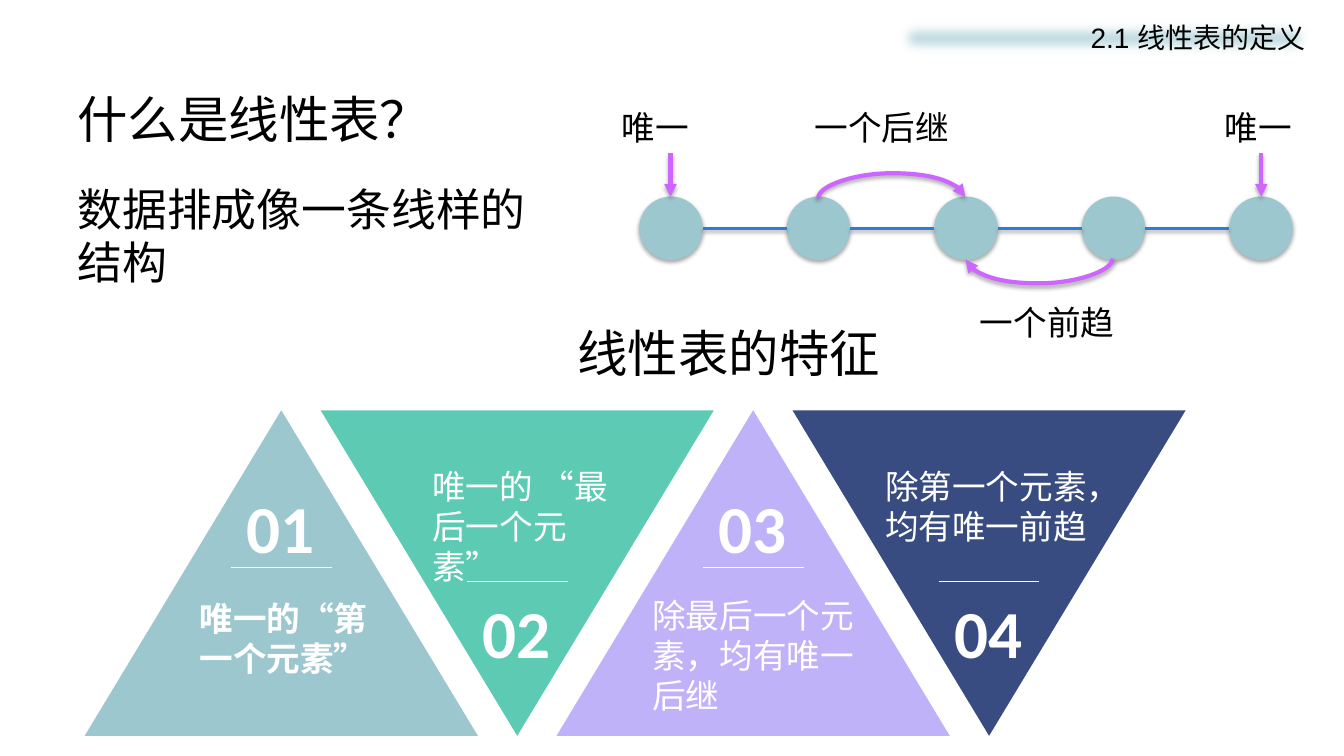
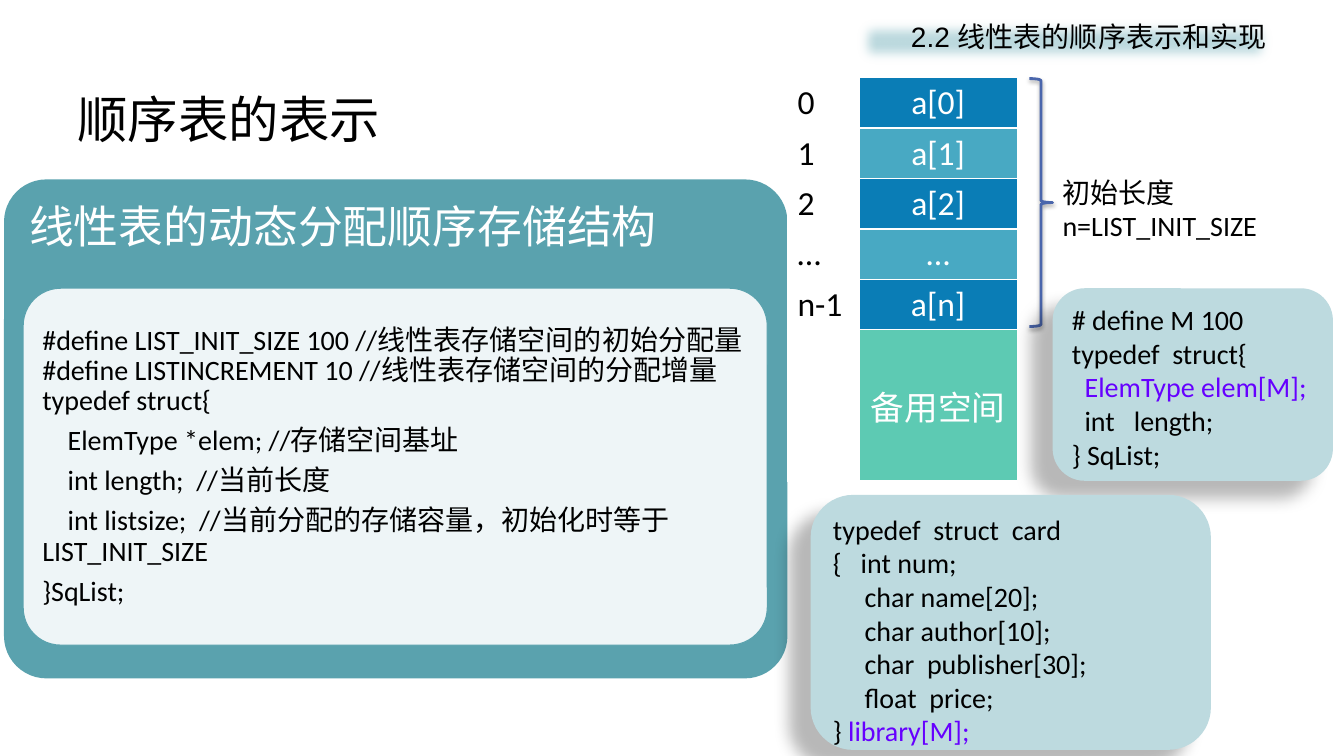
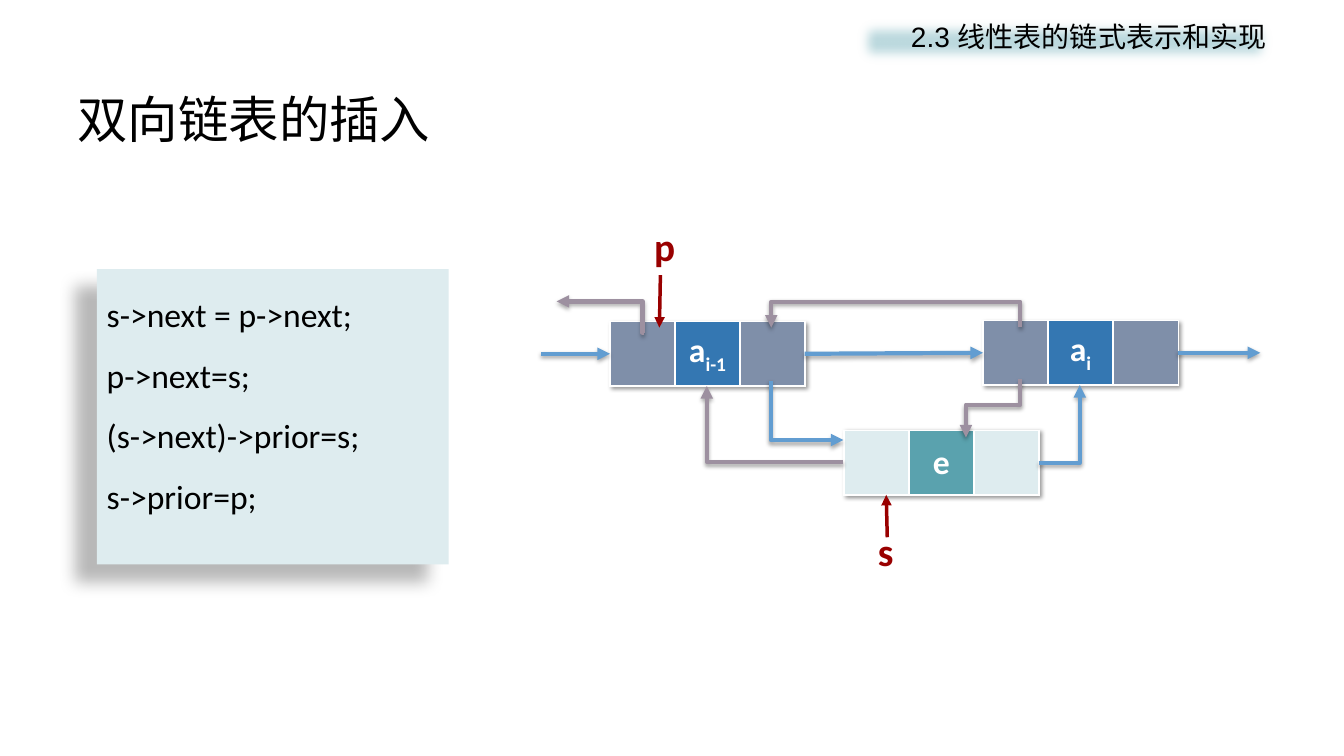
from lxml.etree import SubElement
from pptx import Presentation
from pptx.dml.color import RGBColor
from pptx.enum.shapes import MSO_CONNECTOR, MSO_SHAPE
from pptx.enum.text import MSO_ANCHOR, PP_ALIGN
from pptx.oxml.ns import qn
from pptx.util import Inches, Pt

BLACK = RGBColor(0x00, 0x00, 0x00)
WHITE = RGBColor(0xFF, 0xFF, 0xFF)
PALE_TEAL = RGBColor(0xBD, 0xDA, 0xDF)
MIST = RGBColor(0xDE, 0xEC, 0xEF)
LIGHT_TEAL = RGBColor(0x9C, 0xC7, 0xCE)
TEAL = RGBColor(0x5A, 0xA2, 0xAE)
GREEN = RGBColor(0x5D, 0xCA, 0xB3)
LILAC = RGBColor(0xBF, 0xB2, 0xF8)
NAVY = RGBColor(0x38, 0x4C, 0x81)
INDIGO = RGBColor(0x4A, 0x66, 0xAC)
LINK_BLUE = RGBColor(0x29, 0x7F, 0xD5)
PURPLE = RGBColor(0xCC, 0x66, 0xFF)
VIOLET = RGBColor(0x66, 0x00, 0xFF)
DEEP_BLUE = RGBColor(0x0A, 0x7D, 0xB6)
SKY_BLUE = RGBColor(0x48, 0xA9, 0xC3)
SLATE = RGBColor(0x7F, 0x8F, 0xA9)
DATA_BLUE = RGBColor(0x34, 0x77, 0xB2)
NEXT_BLUE = RGBColor(0x62, 0x9D, 0xD1)
PRIOR_GREY = RGBColor(0x9D, 0x90, 0xA0)
DARK_RED = RGBColor(0x99, 0x00, 0x00)

CJK = "Noto Sans CJK SC"
LATIN = "Calibri"

# Shadows: opacity %, blur pt, distance pt, direction in degrees
SOFT_SHADOW = (35, 3.1, 1.8, 90)
CARD_SHADOW = (28, 11.8, 19.7, 141)
TABLE_SHADOW = (40, 3, 2, 45)


def add_outer_shadow(effects, shadow):
    opacity, blur, distance, direction = shadow
    outer = SubElement(effects, qn("a:outerShdw"), blurRad=str(Pt(blur)),
                       dist=str(Pt(distance)), dir=str(direction * 60000))
    color = SubElement(outer, qn("a:srgbClr"), val="000000")
    SubElement(color, qn("a:alpha"), val=str(opacity * 1000))


def style_run(run, size, color, font=LATIN, bold=False):
    run.font.size = Pt(size)
    run.font.bold = bold
    run.font.color.rgb = color
    run.font.name = font
    SubElement(run.font._element, qn("a:ea"), typeface=CJK)


def write(frame, lines, size, color=BLACK, font=LATIN, bold=False,
          align=PP_ALIGN.LEFT, spacing=None, after=None):
    frame.text = "\n".join(lines)
    for paragraph, line in zip(frame.paragraphs, lines):
        paragraph.text = line
        paragraph.alignment = align
        paragraph.line_spacing = spacing
        paragraph.space_after = after
        for run in paragraph.runs:
            style_run(run, size, color, font, bold)


def highlight_ending(shape, row, ending):
    paragraph = shape.text_frame.paragraphs[row]
    start = paragraph.runs[0]
    start.text = start.text.removesuffix(ending)
    run = paragraph.add_run()
    run.text = ending
    style_run(run, 20, VIOLET)


def add_bullet(paragraph, character):
    properties = paragraph._p.get_or_add_pPr()
    properties.set("marL", str(Inches(0.28)))
    properties.set("indent", str(Inches(-0.28)))
    color = SubElement(properties, qn("a:buClr"))
    SubElement(color, qn("a:srgbClr"), val=str(INDIGO))
    SubElement(properties, qn("a:buSzPct"), val="70000")
    SubElement(properties, qn("a:buFont"), typeface="Arial")
    SubElement(properties, qn("a:buChar"), char=character)


class Deck:
    def __init__(self):
        self.presentation = Presentation()
        self.presentation.slide_width = Inches(13.33)
        self.presentation.slide_height = Inches(7.5)
        self.slide = None

    def start(self, title, section, band):
        """Add a slide with its title and the soft section band."""
        layout = self.presentation.slide_layouts[6]
        self.slide = self.presentation.slides.add_slide(layout)
        self.text((0.67, 0.8, 12, 0.75), [title], 36, font=CJK,
                  anchor=MSO_ANCHOR.MIDDLE)
        shape = self.shape(MSO_SHAPE.RECTANGLE, band, PALE_TEAL)
        effects = shape._element.spPr.find(qn("a:effectLst"))
        SubElement(effects, qn("a:softEdge"), rad=str(Inches(0.13)))
        shape.text_frame.vertical_anchor = MSO_ANCHOR.TOP
        write(shape.text_frame, [section], 20, font="Arial", align=PP_ALIGN.RIGHT)

    def text(self, box, lines, size, color=BLACK, anchor=MSO_ANCHOR.TOP,
             inset=None, **style):
        shape = self.slide.shapes.add_textbox(*map(Inches, box))
        frame = shape.text_frame
        frame.word_wrap = True
        frame.vertical_anchor = anchor
        if inset is not None:
            frame.margin_left = frame.margin_right = Inches(inset)
            frame.margin_top = frame.margin_bottom = Inches(inset)
        write(frame, lines, size, color, **style)
        return shape

    def shape(self, kind, box, fill=None, line=None, width=0.75, shadow=None):
        shape = self.slide.shapes.add_shape(kind, *map(Inches, box))
        if fill is None:
            shape.fill.background()
        else:
            shape.fill.solid()
            shape.fill.fore_color.rgb = fill
        if line is None:
            shape.line.fill.background()
        else:
            shape.line.color.rgb = line
            shape.line.width = Pt(width)
        shape.shadow.inherit = False
        if shadow:
            add_outer_shadow(shape._element.spPr.find(qn("a:effectLst")), shadow)
        return shape

    def card(self, kind, box, fill, lines, size, spacing=None):
        shape = self.shape(kind, box, fill, shadow=CARD_SHADOW)
        shape.text_frame.vertical_anchor = MSO_ANCHOR.TOP
        shape.text_frame.word_wrap = True
        write(shape.text_frame, lines, size, spacing=spacing)
        return shape

    def line(self, start, end, color, width=3.0, arrow=True, shadow=SOFT_SHADOW,
             kind=MSO_CONNECTOR.STRAIGHT):
        connector = self.slide.shapes.add_connector(
            kind, *map(Inches, (*start, *end)))
        connector.line.color.rgb = color
        connector.line.width = Pt(width)
        properties = connector._element.spPr
        if arrow:
            SubElement(properties.find(qn("a:ln")), qn("a:tailEnd"), type="triangle")
        effects = SubElement(properties, qn("a:effectLst"))
        if shadow:
            add_outer_shadow(effects, shadow)
        return connector

    def routed(self, preset, box, color, rotation=0, flip="", bend=None):
        """Arrow with a bent or curved preset, laid out in its unrotated box."""
        left, top, width, height = box
        kind = MSO_CONNECTOR.CURVE if "curved" in preset else MSO_CONNECTOR.ELBOW
        connector = self.line((left, top), (left + width, top + height), color,
                              kind=kind)
        properties = connector._element.spPr
        transform = properties.find(qn("a:xfrm"))
        transform.set("rot", str(rotation * 60000))
        for axis in flip:
            transform.set("flip" + axis.upper(), "1")
        geometry = properties.find(qn("a:prstGeom"))
        geometry.set("prst", preset)
        if bend is not None:
            SubElement(geometry.find(qn("a:avLst")), qn("a:gd"), name="adj1",
                       fmla=f"val {round(bend * 100000)}")

    def table(self, left, top, widths, heights):
        box = (left, top, sum(widths), sum(heights))
        frame = self.slide.shapes.add_table(
            len(heights), len(widths), *map(Inches, box))
        for column, width in zip(frame.table.columns, widths):
            column.width = Inches(width)
        for row, height in zip(frame.table.rows, heights):
            row.height = Inches(height)
        return frame.table

    def cell(self, cell, text, fill=None, color=WHITE, anchor=MSO_ANCHOR.TOP,
             align=PP_ALIGN.CENTER, bold=False):
        if fill is None:
            cell.fill.background()
        else:
            cell.fill.solid()
            cell.fill.fore_color.rgb = fill
        cell.vertical_anchor = anchor
        if text:
            write(cell.text_frame, [text], 24, color, align=align, bold=bold)

    def list_node(self, left, top, label, subscript, data_fill, link_fill):
        """Linked-list node: prior link, data, next link."""
        table = self.table(left, top, [0.645] * 3, [0.64])
        effects = table._tbl.tblPr.makeelement(qn("a:effectLst"))
        table._tbl.tblPr.insert(0, effects)
        add_outer_shadow(effects, TABLE_SHADOW)
        for column, text in enumerate(("", label, "")):
            self.cell(table.cell(0, column), text, data_fill if text else link_fill,
                      anchor=MSO_ANCHOR.MIDDLE, bold=True)
        if subscript:
            run = table.cell(0, 1).text_frame.paragraphs[0].add_run()
            run.text = subscript
            style_run(run, 24, WHITE, bold=True)
            run.font._element.set("baseline", "-25000")
        for offset in (0.12, 1.41):
            self.shape(MSO_SHAPE.RECTANGLE,
                       (left + offset, top + 0.07, 0.39, 0.52), link_fill)


def build_definition(deck):
    deck.start("什么是线性表？", "2.1 线性表的定义", (8.85, 0.15, 4.2, 0.45))
    body = deck.text((0.67, 1.75, 5.07, 1.61), [""], 32)
    add_bullet(body.text_frame.paragraphs[0], "►")
    write(body.text_frame, ["数据排成像一条线样的结构"], 32, font=CJK)

    diameter, pitch, top = 0.63, 1.463, 1.95
    lefts = [6.34 + pitch * index for index in range(5)]
    middle = top + diameter / 2
    for left in lefts:
        deck.shape(MSO_SHAPE.OVAL, (left, top, diameter, diameter), LIGHT_TEAL,
                   shadow=SOFT_SHADOW)
    for left in lefts[:-1]:
        deck.line((left + diameter, middle), (left + pitch, middle), LINK_BLUE, 2,
                  arrow=False)
    for x in (6.65, 12.51):
        deck.line((x, 1.52), (x, top), PURPLE)
    for left, label_top, width, label in (
            (6.07, 1.01, 1.17, "唯一"), (12.05, 1.01, 0.91, "唯一"),
            (7.98, 1.01, 1.74, "一个后继"), (9.62, 2.95, 1.74, "一个前趋")):
        deck.text((left, label_top, width, 0.5), [label], 24, font=CJK)
    deck.routed("curvedConnector3", (8.84, 1.23, 0.01, 1.46), PURPLE, 90, "hv", 25)
    deck.routed("curvedConnector3", (10.3, 1.84, 0.01, 1.46), PURPLE, 90, "", 25)

    deck.text((5.63, 3.15, 3.41, 0.71), ["线性表的特征"], 36, font=CJK)
    features = (
        (LIGHT_TEAL, "唯一的“第一个元素”", (1.88, 5.88, 1.98, 0.91)),
        (GREEN, "唯一的 “最后一个元素”", (4.19, 4.57, 2.14, 0.82)),
        (LILAC, "除最后一个元素，均有唯一后继", (6.37, 5.85, 2.21, 1.31)),
        (NAVY, "除第一个元素，均有唯一前趋", (8.68, 4.57, 2.3, 0.91)),
    )
    for index, (fill, feature, box) in enumerate(features):
        left = 0.84 + 2.34 * index
        points_down = index % 2 == 1
        triangle = deck.shape(MSO_SHAPE.ISOSCELES_TRIANGLE,
                              (left, 4.07, 3.9, 3.23), fill)
        triangle.rotation = 180 if points_down else 0
        first = index == 0
        deck.text(box, [feature], 24, WHITE, font="Arial" if first else CJK,
                  bold=first)
        deck.text((left + 1.3, 5.82 if points_down else 4.78, 1.29, 0.82),
                  [f"{index + 1:02}"], 48, WHITE, bold=True, align=PP_ALIGN.CENTER)
        rule = 5.77 if points_down else 5.63
        deck.line((left + 1.45, rule), (left + 2.45, rule), WHITE, 0.75,
                  arrow=False, shadow=None)


def build_sequential_list(deck):
    deck.start("顺序表的表示", "2.2 线性表的顺序表示和实现", (8.46, 0.14, 4.2, 0.54))
    panel = deck.shape(MSO_SHAPE.ROUNDED_RECTANGLE, (0.04, 1.78, 7.77, 4.95), TEAL)
    panel.adjustments[0] = 0.085
    deck.text((0.16, 1.9, 7.53, 0.9), ["线性表的动态分配顺序存储结构"], 32, WHITE,
              inset=0.13, spacing=0.9)
    inner = deck.shape(MSO_SHAPE.ROUNDED_RECTANGLE, (0.23, 2.86, 7.38, 3.54),
                       WHITE, TEAL)
    inner.adjustments[0] = 0.105
    fill_color = inner._element.spPr.find(qn("a:solidFill"))[0]
    SubElement(fill_color, qn("a:alpha"), val="90000")
    deck.text((0.34, 2.97, 7.16, 3.32), [
        "#define LIST_INIT_SIZE 100 //线性表存储空间的初始分配量\v"
        "#define LISTINCREMENT 10 //线性表存储空间的分配增量\v"
        "typedef struct{",
        "    ElemType *elem; //存储空间基址",
        "    int length;  //当前长度",
        "    int listsize;  //当前分配的存储容量，初始化时等于LIST_INIT_SIZE",
        "}SqList;",
    ], 20, anchor=MSO_ANCHOR.MIDDLE, inset=0.08, spacing=0.9, after=Pt(7))

    table = deck.table(7.81, 0.77, [0.71, 1.57], [0.5] * 8)
    elements = (("0", "a[0]"), ("1", "a[1]"), ("2", "a[2]"), ("…", "…"),
                ("n-1", "a[n]"))
    for row, (position, element) in enumerate(elements):
        deck.cell(table.cell(row, 0), position, color=BLACK, align=PP_ALIGN.LEFT)
        deck.cell(table.cell(row, 1), element, SKY_BLUE if row % 2 else DEEP_BLUE)
    for row in range(5, 8):
        deck.cell(table.cell(row, 0), "")
    table.cell(5, 1).merge(table.cell(7, 1))
    deck.cell(table.cell(5, 1), "备用空间", GREEN, anchor=MSO_ANCHOR.MIDDLE)

    deck.shape(MSO_SHAPE.RIGHT_BRACE, (10.21, 0.78, 0.23, 2.46), line=INDIGO,
               width=2, shadow=SOFT_SHADOW)
    deck.text((10.44, 1.69, 2.34, 0.77), ["初始长度n=LIST_INIT_SIZE"], 20)
    static_list = deck.card(
        MSO_SHAPE.ROUNDED_RECTANGLE, (10.44, 2.86, 2.78, 1.91), PALE_TEAL,
        ["# define M 100", "typedef  struct{", "  ElemType elem[M];",
         "  int   length;", "} SqList;"], 20)
    highlight_ending(static_list, 2, "ElemType elem[M];")
    library = deck.card(
        MSO_SHAPE.ROUNDED_RECTANGLE, (8.04, 4.91, 3.97, 2.53), PALE_TEAL,
        ["typedef  struct  card", "{   int num;", "     char name[20];",
         "     char author[10];", "     char  publisher[30];",
         "     float  price;", "} library[M];"], 20)
    highlight_ending(library, 6, "library[M];")


def build_insertion(deck):
    deck.start("双向链表的插入", "2.3 线性表的链式表示和实现", (8.46, 0.14, 4.2, 0.54))
    deck.card(MSO_SHAPE.RECTANGLE, (0.96, 2.67, 3.49, 2.93), MIST,
              ["s->next = p->next;", "p->next=s;", "(s->next)->prior=s;",
               "s->prior=p;"], 24, spacing=1.5)
    deck.list_node(6.05, 3.19, "a", "i-1", DATA_BLUE, SLATE)
    deck.list_node(9.75, 3.18, "a", "i", DATA_BLUE, SLATE)
    deck.list_node(8.37, 4.27, "e", "", TEAL, MIST)

    for start, end in (((5.37, 3.51), (6.05, 3.51)), ((7.98, 3.51), (9.75, 3.5)),
                       ((11.68, 3.5), (12.5, 3.5))):
        deck.line(start, end, NEXT_BLUE)
    deck.routed("bentConnector3", (5.52, 2.99, 0.87, 0.31), PRIOR_GREY, 180, "", 0.02)
    deck.routed("bentConnector3", (8.88, 2.01, 0.01, 2.47), PRIOR_GREY, 270, "hv", -25)
    deck.routed("bentConnector3", (9.56, 3.78, 0.58, 0.54), PRIOR_GREY, 90, "", 0.44)
    deck.routed("bentConnector2", (7.01, 3.83, 1.35, 0.75), PRIOR_GREY, 180)
    deck.routed("bentConnector2", (10.3, 3.82, 0.41, 0.77), NEXT_BLUE, 0, "v")
    deck.routed("bentConnector2", (7.71, 3.71, 0.59, 0.72), NEXT_BLUE, 270, "h")

    for label, box, start, end in (
            ("p", (6.39, 2.16, 0.35, 0.51), (6.55, 2.73), (6.54, 3.25)),
            ("s", (8.61, 5.18, 0.37, 0.41), (8.8, 5.33), (8.79, 4.91))):
        deck.line(start, end, DARK_RED, 2.5, shadow=None)
        deck.text(box, [label], 28, DARK_RED, bold=True)


def main():
    deck = Deck()
    build_definition(deck)
    build_sequential_list(deck)
    build_insertion(deck)
    deck.presentation.save("out.pptx")


if __name__ == "__main__":
    main()
